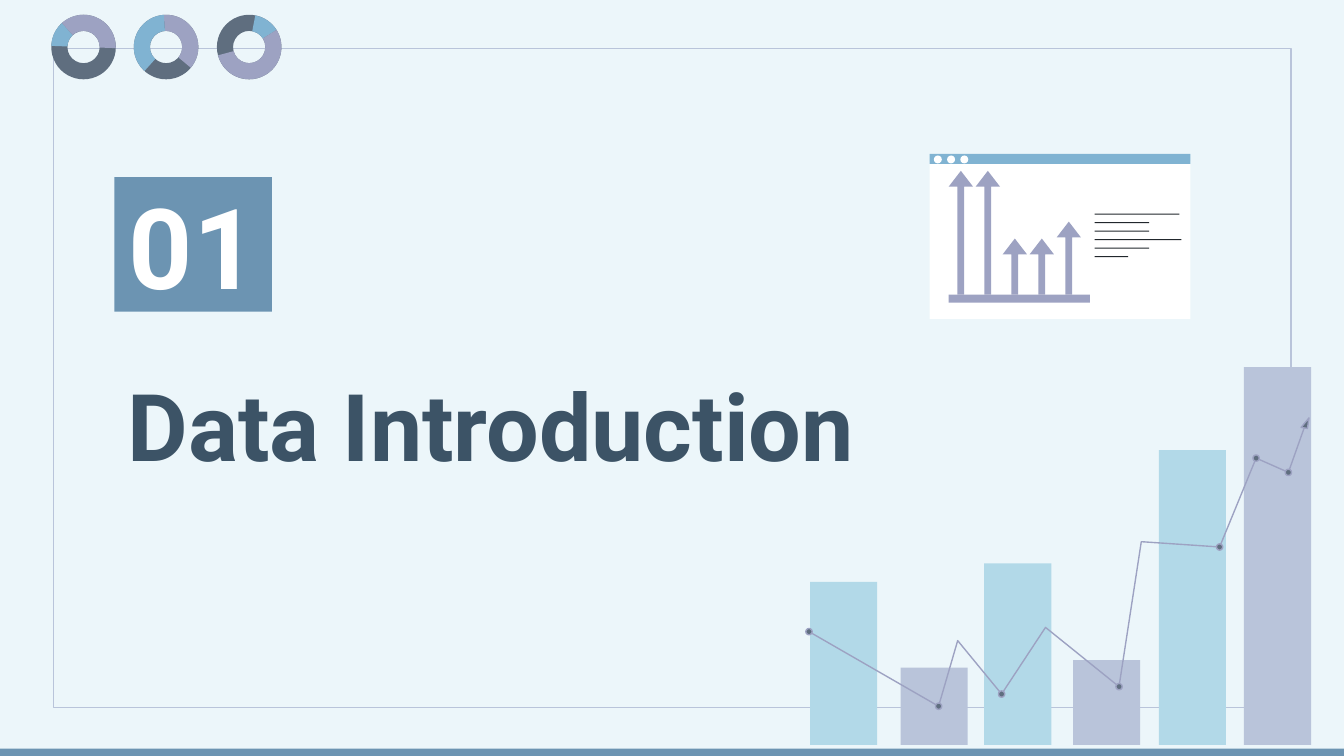
from pptx import Presentation
from pptx.dml.color import RGBColor
from pptx.enum.shapes import MSO_SHAPE
from pptx.enum.text import MSO_ANCHOR, MSO_AUTO_SIZE, PP_ALIGN
from pptx.util import Cm, Pt

COLORS = {
    "background": "ECF6FA", "steel": "6C94B2", "frame": "B9C4DA",
    "slate": "5F6E7F", "blue": "80B3D2", "lilac": "9DA2C2",
    "aqua": "B2D9E8", "title": "3C5366", "white": "FFFFFF", "ink": "21272C",
}


def color(name):
    return RGBColor.from_string(COLORS[name])


def add_shape(kind, x, y, w, h, fill=None, line=None):
    """Add a shape, in centimetres; without a fill or line colour it has none."""
    sp = slide.shapes.add_shape(kind, Cm(x), Cm(y), Cm(w), Cm(h))
    sp.shadow.inherit = False
    if fill:
        sp.fill.solid()
        sp.fill.fore_color.rgb = color(fill)
    else:
        sp.fill.background()
    if line:
        sp.line.color.rgb = color(line)
        sp.line.width = Pt(0.75)
    else:
        sp.line.fill.background()
    return sp


prs = Presentation()
prs.slide_width, prs.slide_height = Cm(25.4), Cm(14.29)
slide = prs.slides.add_slide(prs.slide_layouts[0])
slide.background.fill.solid()
slide.background.fill.fore_color.rgb = color("background")

# Frame and bottom strip
add_shape(MSO_SHAPE.RECTANGLE, 0, 14.15, 25.4, 0.14, "steel")
add_shape(MSO_SHAPE.RECTANGLE, 1.01, 0.92, 23.39, 12.45, line="frame")

# Rings: left edge, then the coloured arcs as (colour, start, end) in degrees
rings = [
    (0.97, [("blue", 182, 228), ("lilac", 228, 2)]),
    (2.53, [("lilac", 266, 40), ("blue", 132, 266)]),
    (4.1, [("blue", 281, 328), ("lilac", 328, 165)]),
]
for x, arcs in rings:
    ring = add_shape(MSO_SHAPE.DONUT, x, 0.28, 1.22, 1.22, "slate")
    ring.adjustments[0] = 0.25
    for name, start, end in arcs:
        arc = add_shape(MSO_SHAPE.BLOCK_ARC, x, 0.28, 1.22, 1.22, name)
        arc.adjustments[0] = start * 0.6
        arc.adjustments[1] = end * 0.6
        arc.adjustments[2] = 0.25

# Section title and number
title, number = slide.placeholders
number.fill.solid()
number.fill.fore_color.rgb = color("steel")
texts = [
    (title, "Data Introduction", (2.16, 6.2, 16.46, 3.12), 50, "title",
     MSO_ANCHOR.BOTTOM, PP_ALIGN.LEFT),
    (number, "01", (2.16, 3.35, 2.98, 2.54), 60, "white",
     MSO_ANCHOR.MIDDLE, PP_ALIGN.CENTER),
]
for sp, text, box, size, name, anchor, align in texts:
    sp.left, sp.top, sp.width, sp.height = map(Cm, box)
    tf = sp.text_frame
    tf.text = text
    tf.auto_size = MSO_AUTO_SIZE.NONE
    tf.word_wrap = True
    tf.vertical_anchor = anchor
    tf.margin_left = tf.margin_right = tf.margin_top = tf.margin_bottom = Cm(0.25)
    p = tf.paragraphs[0]
    p.alignment = align
    p.space_before = Pt(0)
    p.font.name, p.font.size, p.font.bold = "Roboto", Pt(size), True
    p.font.color.rgb = color(name)

# Decorative bars
bars = [(15.31, 11), (17.02, 12.62), (18.6, 10.65),
        (20.28, 12.48), (21.9, 8.51), (23.51, 6.94)]
for i, (x, top) in enumerate(bars):
    add_shape(MSO_SHAPE.RECTANGLE, x, top, 1.27, 14.08 - top,
              "frame" if i % 2 else "aqua")

# Trend line with its arrow tip and markers
trend = [(15.29, 11.94), (17.74, 13.35), (18.1, 12.11), (18.93, 13.12),
         (19.76, 11.86), (21.15, 12.98), (21.57, 10.24), (23.05, 10.34),
         (23.74, 8.66), (24.35, 8.93), (24.68, 8)]
tip = [(24.74, 7.9), (24.59, 8.08), (24.71, 8.1)]
for points, closed in [(trend, False), (tip, True)]:
    corners = [(Cm(x), Cm(y)) for x, y in points]
    builder = slide.shapes.build_freeform(*corners[0])
    builder.add_line_segments(corners[1:], close=closed)
    sp = builder.convert_to_shape()
    sp.shadow.inherit = False
    sp.line.color.rgb = color("lilac")
    sp.line.width = Pt(0.75)
    if closed:
        sp.fill.solid()
        sp.fill.fore_color.rgb = color("slate")
    else:
        sp.fill.background()
for i in (0, 1, 3, 5, 7, 8, 9):
    x, y = trend[i]
    add_shape(MSO_SHAPE.OVAL, x - 0.06, y - 0.06, 0.12, 0.12, "slate", "lilac")

# Browser window
add_shape(MSO_SHAPE.RECTANGLE, 17.57, 3.05, 4.93, 2.98, "white")
add_shape(MSO_SHAPE.RECTANGLE, 17.57, 2.91, 4.93, 0.19, "blue")
for i in range(3):
    add_shape(MSO_SHAPE.OVAL, 17.65 + 0.25 * i, 2.94, 0.15, 0.15, "white")
for i, top in enumerate((3.23, 3.23, 4.51, 4.51, 4.19)):
    arrow = add_shape(MSO_SHAPE.UP_ARROW, 17.93 + 0.51 * i, top, 0.46, 5.57 - top, "lilac")
    arrow.adjustments[0] = 0.28
    arrow.adjustments[1] = 0.65
add_shape(MSO_SHAPE.RECTANGLE, 17.93, 5.57, 2.67, 0.15, "lilac")
for i, width in enumerate((1.6, 1.03, 1.03, 1.64, 1.03, 0.63)):
    add_shape(MSO_SHAPE.RECTANGLE, 20.69, 4.04 + 0.16 * i, width, 0.02, "ink")

prs.save("out.pptx")
